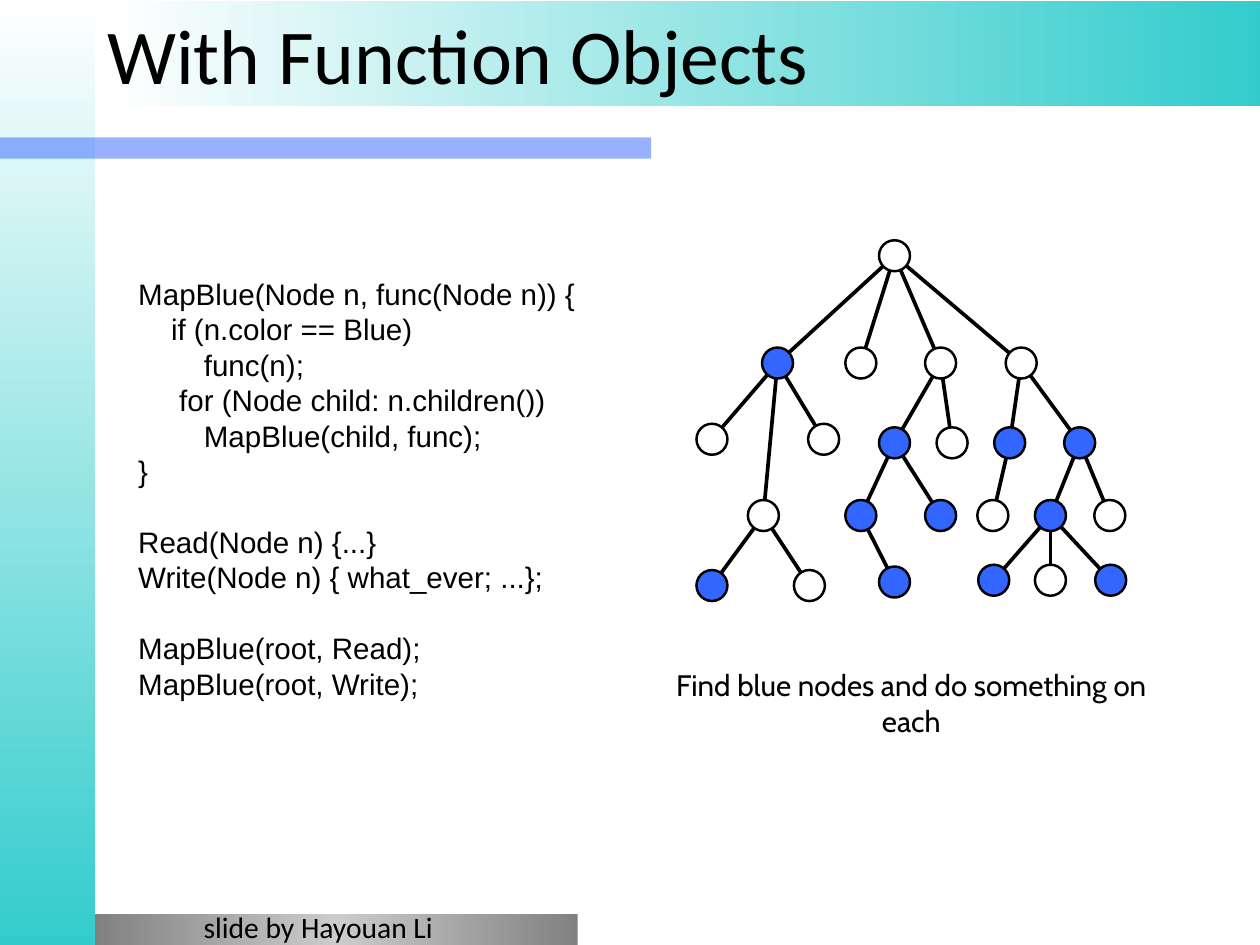
"""Build the slide on mapping a function over the blue nodes of a tree."""
from copy import deepcopy
from math import hypot

from lxml.etree import SubElement
from pptx import Presentation
from pptx.dml.color import RGBColor
from pptx.enum.shapes import MSO_CONNECTOR, MSO_SHAPE
from pptx.enum.text import MSO_ANCHOR, MSO_AUTO_SIZE, PP_ALIGN
from pptx.oxml.ns import qn
from pptx.util import Emu, Pt

SCALE = 9144
SIZE = 35
RADIUS = SIZE / 2
PITCH = 28.8
HUES = {"black": "000000", "white": "FFFFFF", "teal": "33CCCC",
        "blue": "3366FF", "dark": "818181", "light": "CCCCCC"}

CODE = [
    (0, False, "MapBlue(Node n, func(Node n)) {"),
    (4, False, "if (n.color == Blue)"),
    (8, False, "func(n);"),
    (5, False, "for (Node child: n.children())"),
    (8, False, "MapBlue(child, func);"),
    (0, False, "}"),
    (0, True, "Read(Node n) {...}"),
    (0, False, "Write(Node n) { what_ever; ...};"),
    (0, True, "MapBlue(root, Read);"),
    (0, False, "MapBlue(root, Write);"),
]

TREE = {
    "a": (992, 271, "white", None),
    "b": (860, 392, "blue", "a"),
    "c": (954, 392, "white", "a"),
    "d": (1044, 392, "white", "a"),
    "e": (1135, 392, "white", "a"),
    "f": (786, 478, "white", "b"),
    "g": (844, 564, "white", "b"),
    "h": (912, 478, "white", "b"),
    "i": (786, 643, "blue", "g"),
    "j": (896, 643, "white", "g"),
    "k": (992, 482, "blue", "d"),
    "l": (1057, 482, "white", "d"),
    "m": (954, 564, "blue", "k"),
    "n": (1044, 564, "blue", "k"),
    "o": (992, 639, "blue", "m"),
    "p": (1122, 482, "blue", "e"),
    "q": (1201, 482, "blue", "e"),
    "r": (1103, 564, "white", "p"),
    "s": (1168, 564, "blue", "q"),
    "t": (1235, 564, "white", "q"),
    "u": (1104, 637, "blue", "s"),
    "v": (1168, 637, "white", "s"),
    "w": (1236, 637, "blue", "s"),
}


def px(num):
    return Emu(round(num * SCALE))


def hue(name):
    return RGBColor.from_string(HUES[name])


class Deck:
    def __init__(self, wide, high):
        self.prs = Presentation()
        self.prs.slide_width, self.prs.slide_height = px(wide), px(high)
        self.slide = self.prs.slides.add_slide(self.prs.slide_layouts[5])
        self.shapes = self.slide.shapes

    def shape(self, kind, box):
        item = self.shapes.add_shape(kind, *map(px, box))
        item.shadow.inherit = False
        item.line.fill.background()
        return item

    def fade(self, box, names, angle=0):
        bar = self.shape(MSO_SHAPE.RECTANGLE, box)
        bar.fill.gradient()
        bar.fill.gradient_angle = angle
        stops = bar._element.spPr.find(".//" + qn("a:gsLst"))
        while len(stops) < len(names):
            stops.append(deepcopy(stops[0]))
        for i, (stop, name) in enumerate(zip(bar.fill.gradient_stops, names)):
            stop.position = i / (len(names) - 1)
            stop.color.rgb = hue(name)

    def band(self, box, name, alpha):
        bar = self.shape(MSO_SHAPE.RECTANGLE, box)
        bar.fill.solid()
        bar.fill.fore_color.rgb = hue(name)
        tone = bar._element.spPr.find(".//" + qn("a:srgbClr"))
        SubElement(tone, qn("a:alpha"), val=str(alpha * 1000))

    def node(self, left, top, name):
        dot = self.shape(MSO_SHAPE.OVAL, (left, top, SIZE, SIZE))
        if name == "white":
            dot.fill.background()
        else:
            dot.fill.solid()
            dot.fill.fore_color.rgb = hue(name)
        dot.line.color.rgb = hue("black")
        dot.line.width = Pt(2)

    def edge(self, child, root):
        dx, dy = root[0] - child[0], root[1] - child[1]
        cut = RADIUS / hypot(dx, dy)
        ends = (child[0] + RADIUS + dx * cut, child[1] + RADIUS + dy * cut,
                root[0] + RADIUS - dx * cut, root[1] + RADIUS - dy * cut)
        line = self.shapes.add_connector(MSO_CONNECTOR.STRAIGHT, *map(px, ends))
        line.line.color.rgb = hue("black")
        line.line.width = Pt(3)
        SubElement(line._element.spPr, qn("a:effectLst"))

    def tree(self, nodes):
        for node in nodes.values():
            if node[3]:
                self.edge(node, nodes[node[3]])
        for left, top, name, _ in nodes.values():
            self.node(left, top, name)

    def style(self, frame, font, size, pad, anchor, align):
        frame.word_wrap = True
        frame.auto_size = MSO_AUTO_SIZE.NONE
        frame.vertical_anchor = anchor
        frame.margin_left = frame.margin_right = px(pad[0])
        frame.margin_top = frame.margin_bottom = px(pad[1])
        for para in frame.paragraphs:
            para.alignment = align
            for run in para.runs:
                run.font.name = font
                run.font.size = Pt(size)
                run.font.color.rgb = hue("black")

    def title(self, box, text, font, size):
        head = self.shapes.title
        head.left, head.top, head.width, head.height = map(px, box)
        head.text_frame.text = text
        self.style(head.text_frame, font, size, (14, 7),
                   MSO_ANCHOR.MIDDLE, PP_ALIGN.LEFT)
        head._element.getparent().append(head._element)

    def text(self, box, text, font, size=24, pad=(0, 0),
             anchor=MSO_ANCHOR.TOP, align=PP_ALIGN.LEFT):
        frame = self.shapes.add_textbox(*map(px, box)).text_frame
        frame.text = text
        self.style(frame, font, size, pad, anchor, align)
        return frame

    def code(self, box, rows):
        frame = self.text(box, "\n".join(row[2] for row in rows), "Arial",
                          pad=(14, 7))
        frame.margin_top = px(47)
        for para, (depth, gap, _) in zip(frame.paragraphs, rows):
            para.line_spacing = Pt(PITCH)
            para.space_before = Pt(PITCH if gap else 0)
            props = para._p.get_or_add_pPr()
            props.set("marL", str(px(35 + depth * 9.26)))
            props.set("indent", "0")


def main():
    deck = Deck(1422, 1066)
    deck.fade((0, 0, 107, 1066), ("white", "teal"), 270)
    deck.band((0, 155, 735, 24), "blue", 50)
    deck.fade((107, 1031, 545, 35), ("dark", "light", "dark"))
    deck.fade((119, 1, 1303, 119), ("white", "teal"))
    deck.title((107, 1, 1316, 119), "With Function Objects", "Calibri", 63)
    deck.code((107, 264, 660, 752), CODE)
    deck.tree(TREE)
    deck.text((761, 748, 535, 89), "Find blue nodes and do something on each",
              "Cabin", anchor=MSO_ANCHOR.MIDDLE, align=PP_ALIGN.CENTER)
    deck.text((220, 1020, 410, 50), "slide by Hayouan Li", "Calibri",
              pad=(10, 5))
    deck.prs.save("out.pptx")


if __name__ == "__main__":
    main()
